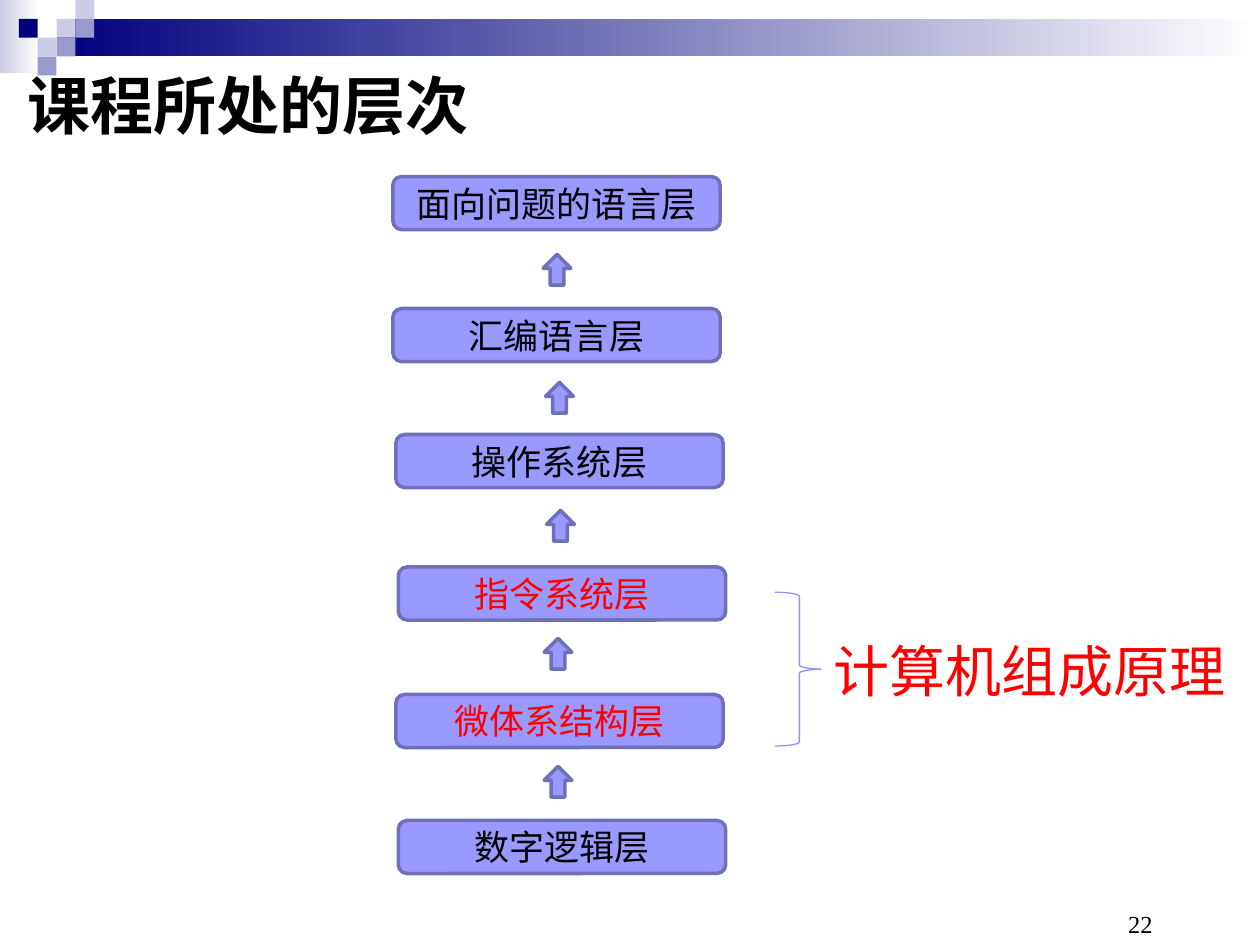
"""Build the slide on the abstraction layers that the course belongs to."""
from pptx import Presentation
from pptx.dml.color import RGBColor
from pptx.enum.shapes import MSO_SHAPE
from pptx.enum.text import MSO_ANCHOR, PP_ALIGN
from pptx.util import Cm, Pt

RECTANGLE = MSO_SHAPE.RECTANGLE
LAYER_BOX = MSO_SHAPE.FLOWCHART_ALTERNATE_PROCESS
UP_ARROW = MSO_SHAPE.UP_ARROW
RIGHT_BRACE = MSO_SHAPE.RIGHT_BRACE
LEFT, CENTER, RIGHT = PP_ALIGN.LEFT, PP_ALIGN.CENTER, PP_ALIGN.RIGHT
MIDDLE, BOTTOM = MSO_ANCHOR.MIDDLE, MSO_ANCHOR.BOTTOM

COLORS = {
    "navy": "00007D",
    "pale": "CCCCE6",
    "mauve": "9999CC",
    "layer": "9999FF",
    "edge": "6F6FBC",
    "brace": "9393FC",
    "white": "FFFFFF",
    "black": "000000",
    "red": "FF0000",
}
SERIF, SANS = "Times New Roman", "Arial"


class LayerSlide:
    """Hold the colours and the current slide, and add its elements."""

    def __init__(self, slide, colors):
        self.shapes = slide.shapes
        self.colors = {name: RGBColor.from_string(value) for name, value in colors.items()}

    def shape(self, kind, box, fill=None, line=None, width=2):
        shape = self.shapes.add_shape(kind, *map(Cm, box))
        shape.shadow.inherit = False
        if fill:
            shape.fill.solid()
            shape.fill.fore_color.rgb = self.colors[fill]
        else:
            shape.fill.background()
        if line:
            shape.line.color.rgb = self.colors[line]
            shape.line.width = Pt(width)
        else:
            shape.line.fill.background()
        return shape

    def fade(self, box, start):
        band = self.shape(RECTANGLE, box)
        band.fill.gradient()
        band.fill.gradient_angle = 0
        for stop, color, position in zip(band.fill.gradient_stops, (start, "white"), (0, 1)):
            stop.color.rgb = self.colors[color]
            stop.position = position

    def label(self, shape, text, size, font, color="black", align=LEFT,
              anchor=MIDDLE, bold=False, wrap=True):
        frame = shape.text_frame
        for name, value in {"word_wrap": wrap, "vertical_anchor": anchor}.items():
            setattr(frame, name, value)
        paragraph = frame.paragraphs[0]
        paragraph.alignment = align
        run = paragraph.add_run()
        run.text = text
        for name, value in {"size": Pt(size), "name": font, "bold": bold}.items():
            setattr(run.font, name, value)
        run.font.color.rgb = self.colors[color]

    def text(self, box, *content, **style):
        self.label(self.shapes.add_textbox(*map(Cm, box)), *content, **style)

    def layer(self, left, top, name, color):
        box = self.shape(LAYER_BOX, (left, top, 6.6, 1.07), "layer", "edge")
        self.label(box, name, 20, SANS, color, CENTER)

    def arrow(self, left, top):
        self.shape(UP_ARROW, (left, top, 0.56, 0.62), "layer", "edge")


def main():
    deck = Presentation()
    deck.slide_width, deck.slide_height = Cm(25.4), Cm(19.05)
    page = LayerSlide(deck.slides.add_slide(deck.slide_layouts[6]), COLORS)

    page.fade((0, 0, 0.79, 1.47), "pale")
    page.fade((1.14, 0.38, 24.26, 0.76), "navy")
    tile = 0.38
    mosaic = [
        (3, 1, "pale"), (4, 0, "pale"), (4, 1, "mauve"), (2, 2, "pale"),
        (1, 1, "navy"), (3, 2, "mauve"), (2, 3, "mauve"),
    ]
    for column, row, color in mosaic:
        page.shape(RECTANGLE, (column * tile, row * tile, tile, tile), color)

    page.text((18.21, 17.78, 5.28, 1.27), "22", 14, SERIF,
              align=RIGHT, anchor=BOTTOM, wrap=False)
    page.text((0.3, 1.32, 9.91, 1.55), "课程所处的层次", 36, SERIF, bold=True)

    layers = [
        (7.92, 3.56, "面向问题的语言层", "black"),
        (7.92, 6.22, "汇编语言层", "black"),
        (7.98, 8.76, "操作系统层", "black"),
        (8.03, 11.43, "指令系统层", "red"),
        (7.98, 14, "微体系结构层", "red"),
        (8.03, 16.54, "数字逻辑层", "black"),
    ]
    for layer in layers:
        page.layer(*layer)
    for step, left in enumerate((10.95, 11, 11.02, 10.97, 10.97)):
        page.arrow(left, 5.13 + 2.58 * step)

    page.shape(RIGHT_BRACE, (15.62, 11.94, 0.99, 3.1), line="brace", width=0.75)
    course = page.shape(RECTANGLE, (16.56, 12.32, 8.61, 2.36), "white")
    page.label(course, "计算机组成原理", 32, SERIF, "red")

    deck.save("out.pptx")


if __name__ == "__main__":
    main()
